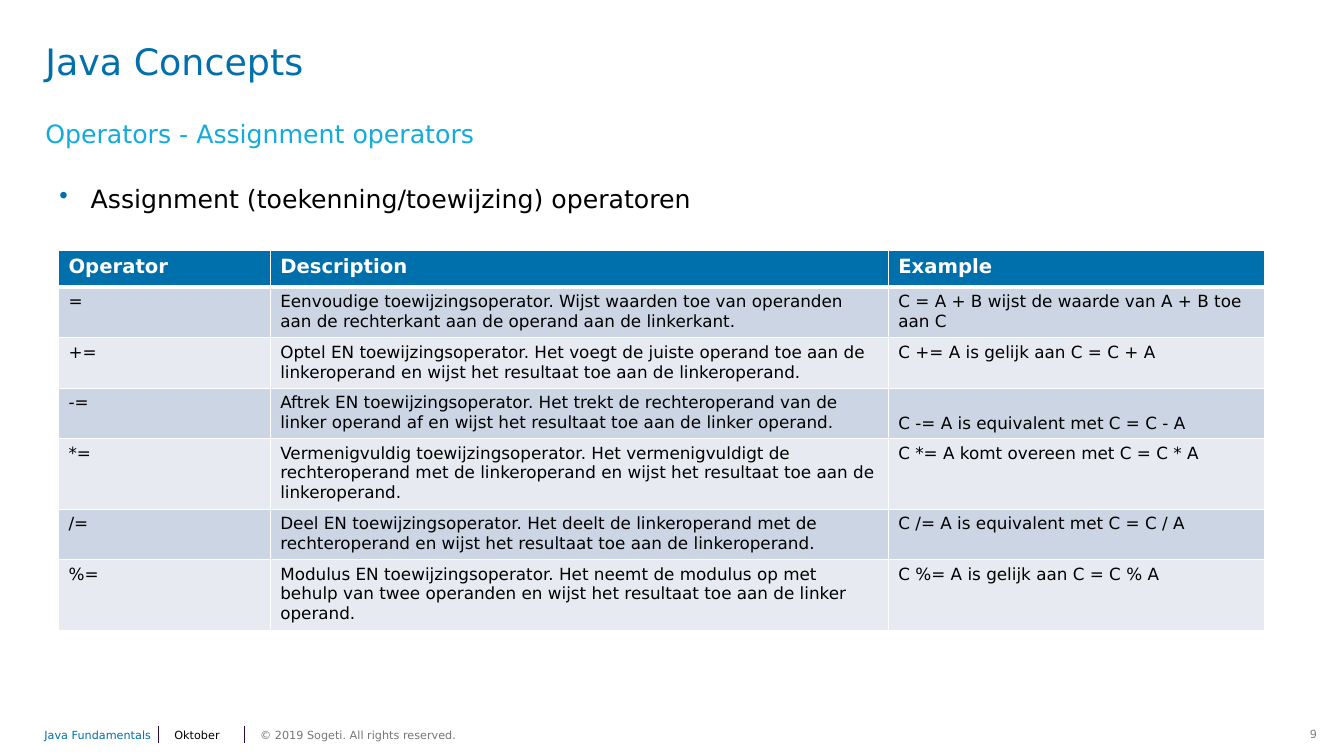
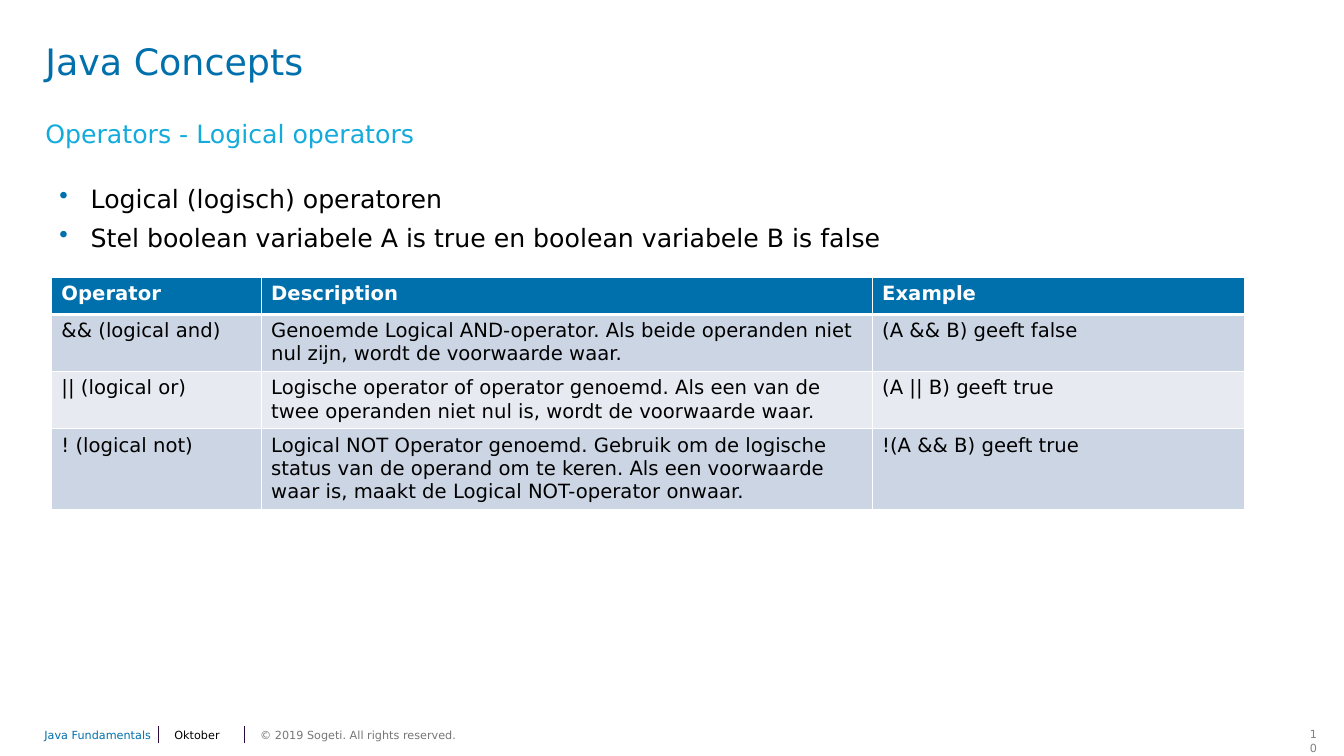
"""Build two Java slides on assignment and logical operators."""
from dataclasses import dataclass

from lxml import etree
from pptx import Presentation
from pptx.dml.color import RGBColor
from pptx.enum.shapes import MSO_CONNECTOR
from pptx.enum.text import MSO_ANCHOR, MSO_AUTO_SIZE, PP_ALIGN
from pptx.oxml.ns import qn
from pptx.util import Inches, Pt

STRAIGHT = MSO_CONNECTOR.STRAIGHT
TOP, MIDDLE, BOTTOM = MSO_ANCHOR.TOP, MSO_ANCHOR.MIDDLE, MSO_ANCHOR.BOTTOM
LEFT, RIGHT = PP_ALIGN.LEFT, PP_ALIGN.RIGHT
FIT_SHAPE = MSO_AUTO_SIZE.SHAPE_TO_FIT_TEXT


@dataclass(frozen=True)
class Theme:
    font: str = "DejaVu Sans"
    blue: str = "0070AD"
    cyan: str = "12ABDB"
    black: str = "000000"
    white: str = "FFFFFF"
    gray: str = "767676"
    number_gray: str = "808080"
    divider: str = "2B0A3D"
    bands: tuple = ("CCD5E3", "E7EBF1")
    title_size: int = 26
    text_size: int = 18
    header_size: int = 14
    footer_size: int = 8


class Deck:
    def __init__(self, theme):
        self.theme = theme
        self.presentation = Presentation()
        self.presentation.slide_width = Inches(13.33)
        self.presentation.slide_height = Inches(7.5)
        self.slide = None

    def add_slide(self, number, subtitle):
        theme = self.theme
        layout = self.presentation.slide_layouts[6]
        self.slide = self.presentation.slides.add_slide(layout)
        self.add_footer(number)
        title = self.add_text((0.45, 0.44, 11.97, 0.45), "Java Concepts",
                              theme.title_size, theme.blue)
        title.line_spacing = 0.9
        heading = self.add_text((0.45, 1.17, 11.97, 0.45), subtitle,
                                theme.text_size, theme.cyan)
        heading.line_spacing = Pt(22)
        heading.space_after = Pt(6)

    def add_frame(self, box, anchor=TOP, wrap=True, inset=True):
        frame = self.slide.shapes.add_textbox(*map(Inches, box)).text_frame
        frame.word_wrap = wrap
        frame.vertical_anchor = anchor
        if not inset:
            frame.margin_left = frame.margin_right = 0
            frame.margin_top = frame.margin_bottom = 0
        return frame

    def add_run(self, paragraph, text, size, color, bold=False):
        run = paragraph.add_run()
        run.text = text
        run.font.name = self.theme.font
        run.font.size = Pt(size)
        run.font.bold = bold
        run.font.color.rgb = RGBColor.from_string(color)

    def add_text(self, box, text, size, color, anchor=TOP, wrap=True):
        paragraph = self.add_frame(box, anchor, wrap, inset=False).paragraphs[0]
        paragraph.alignment = LEFT
        self.add_run(paragraph, text, size, color)
        return paragraph

    def add_footer(self, number):
        theme = self.theme
        top, height = 7.17, 0.24
        frame = self.add_frame((12.89, top, 0.27, height), wrap=False)
        frame.auto_size = FIT_SHAPE
        frame.paragraphs[0].alignment = RIGHT
        self.add_run(frame.paragraphs[0], str(number),
                     theme.footer_size, theme.number_gray)
        for left, width, text, color, wrap in (
            (0.44, 3.09, "Java Fundamentals", theme.blue, True),
            (1.73, 1.14, "Oktober", theme.black, True),
            (2.58, 2.83, "© 2019 Sogeti. All rights reserved.", theme.gray, False),
        ):
            self.add_text((left, top, width, height), text,
                          theme.footer_size, color, MIDDLE, wrap)
        for left in (1.57, 2.42):
            self.add_divider(left)

    def add_divider(self, left):
        line = self.slide.shapes.add_connector(
            STRAIGHT, Inches(left), Inches(7.37), Inches(left), Inches(7.2))
        line.line.color.rgb = RGBColor.from_string(self.theme.divider)
        line.line.width = Pt(0.5)
        etree.SubElement(line._element.spPr, qn("a:effectLst"))

    def add_bullets(self, height, texts):
        frame = self.add_frame((0.33, 1.82, 11.97, height), inset=False)
        for index, text in enumerate(texts):
            paragraph = frame.add_paragraph() if index else frame.paragraphs[0]
            paragraph.level = 1
            paragraph.space_after = Pt(6)
            properties = paragraph._p.get_or_add_pPr()
            properties.set("marL", str(Inches(0.57)))
            properties.set("indent", str(Inches(-0.31)))
            color = etree.SubElement(properties, qn("a:buClr"))
            etree.SubElement(color, qn("a:srgbClr"), val=self.theme.blue)
            etree.SubElement(properties, qn("a:buChar"), char="•")
            self.add_run(paragraph, text, self.theme.text_size, self.theme.black)

    def add_borders(self, cell, top, bottom):
        properties = cell._tc.get_or_add_tcPr()
        widths = (("lnL", 1), ("lnR", 1), ("lnT", top), ("lnB", bottom))
        for index, (side, width) in enumerate(widths):
            line = etree.Element(qn(f"a:{side}"), w=str(Pt(width)))
            fill = etree.SubElement(line, qn("a:solidFill"))
            etree.SubElement(fill, qn("a:srgbClr"), val=self.theme.white)
            properties.insert(index, line)

    def add_table(self, left, top, widths, heights, rows, size, low_cells=()):
        theme = self.theme
        rows = [("Operator", "Description", "Example"), *rows]
        table = self.slide.shapes.add_table(
            len(rows), len(widths), Inches(left), Inches(top),
            Inches(sum(widths)), Inches(sum(heights))).table
        table.horz_banding = False
        for column, width in zip(table.columns, widths):
            column.width = Inches(width)
        for index, (texts, height) in enumerate(zip(rows, heights)):
            table.rows[index].height = Inches(height)
            header = index == 0
            fill = theme.blue if header else theme.bands[(index - 1) % 2]
            for column, text in enumerate(texts):
                cell = table.cell(index, column)
                cell.fill.solid()
                cell.fill.fore_color.rgb = RGBColor.from_string(fill)
                self.add_borders(cell, 3 if index == 1 else 1, 3 if header else 1)
                cell.vertical_anchor = BOTTOM if (index, column) in low_cells else TOP
                self.add_run(cell.text_frame.paragraphs[0], text,
                             theme.header_size if header else size,
                             theme.white if header else theme.black, header)


ASSIGNMENT_ROWS = (
    ("=", "Eenvoudige toewijzingsoperator. Wijst waarden toe van operanden aan de "
     "rechterkant aan de operand aan de linkerkant.",
     "C = A + B wijst de waarde van A + B toe aan C"),
    ("+=", "Optel EN toewijzingsoperator. Het voegt de juiste operand toe aan de "
     "linkeroperand en wijst het resultaat toe aan de linkeroperand.",
     "C += A is gelijk aan C = C + A"),
    ("-=", "Aftrek EN toewijzingsoperator. Het trekt de rechteroperand van de "
     "linker operand af en wijst het resultaat toe aan de linker operand.",
     "C -= A is equivalent met C = C - A"),
    ("*=", "Vermenigvuldig toewijzingsoperator. Het vermenigvuldigt de rechteroperand "
     "met de linkeroperand en wijst het resultaat toe aan de linkeroperand.",
     "C *= A komt overeen met C = C * A"),
    ("/=", "Deel EN toewijzingsoperator. Het deelt de linkeroperand met de "
     "rechteroperand en wijst het resultaat toe aan de linkeroperand.",
     "C /= A is equivalent met C = C / A"),
    ("%=", "Modulus EN toewijzingsoperator. Het neemt de modulus op met behulp van "
     "twee operanden en wijst het resultaat toe aan de linker operand.",
     "C %= A is gelijk aan C = C % A"),
)

LOGICAL_ROWS = (
    ("&& (logical and)", "Genoemde Logical AND-operator. Als beide operanden niet nul "
     "zijn, wordt de voorwaarde waar.", "(A && B) geeft false"),
    ("|| (logical or)", "Logische operator of operator genoemd. Als een van de twee "
     "operanden niet nul is, wordt de voorwaarde waar.", "(A || B) geeft true"),
    ("! (logical not)", "Logical NOT Operator genoemd. Gebruik om de logische status "
     "van de operand om te keren. Als een voorwaarde waar is, maakt de Logical "
     "NOT-operator onwaar.", "!(A && B) geeft true"),
)


def main():
    deck = Deck(Theme())

    deck.add_slide(9, "Operators - Assignment operators")
    deck.add_bullets(0.45, ["Assignment (toekenning/toewijzing) operatoren"])
    deck.add_table(0.58, 2.48, (2.1, 6.13, 3.73),
                   (0.37, 0.48, 0.48, 0.48, 0.68, 0.48, 0.68),
                   ASSIGNMENT_ROWS, 12, low_cells={(3, 2)})

    deck.add_slide(10, "Operators - Logical operators")
    deck.add_bullets(0.93, [
        "Logical (logisch) operatoren",
        "Stel boolean variabele A is true en boolean variabele B is false",
    ])
    deck.add_table(0.51, 2.75, (2.08, 6.06, 3.69), (0.37, 0.55, 0.55, 0.77),
                   LOGICAL_ROWS, 14)

    deck.presentation.save("out.pptx")


if __name__ == "__main__":
    main()
